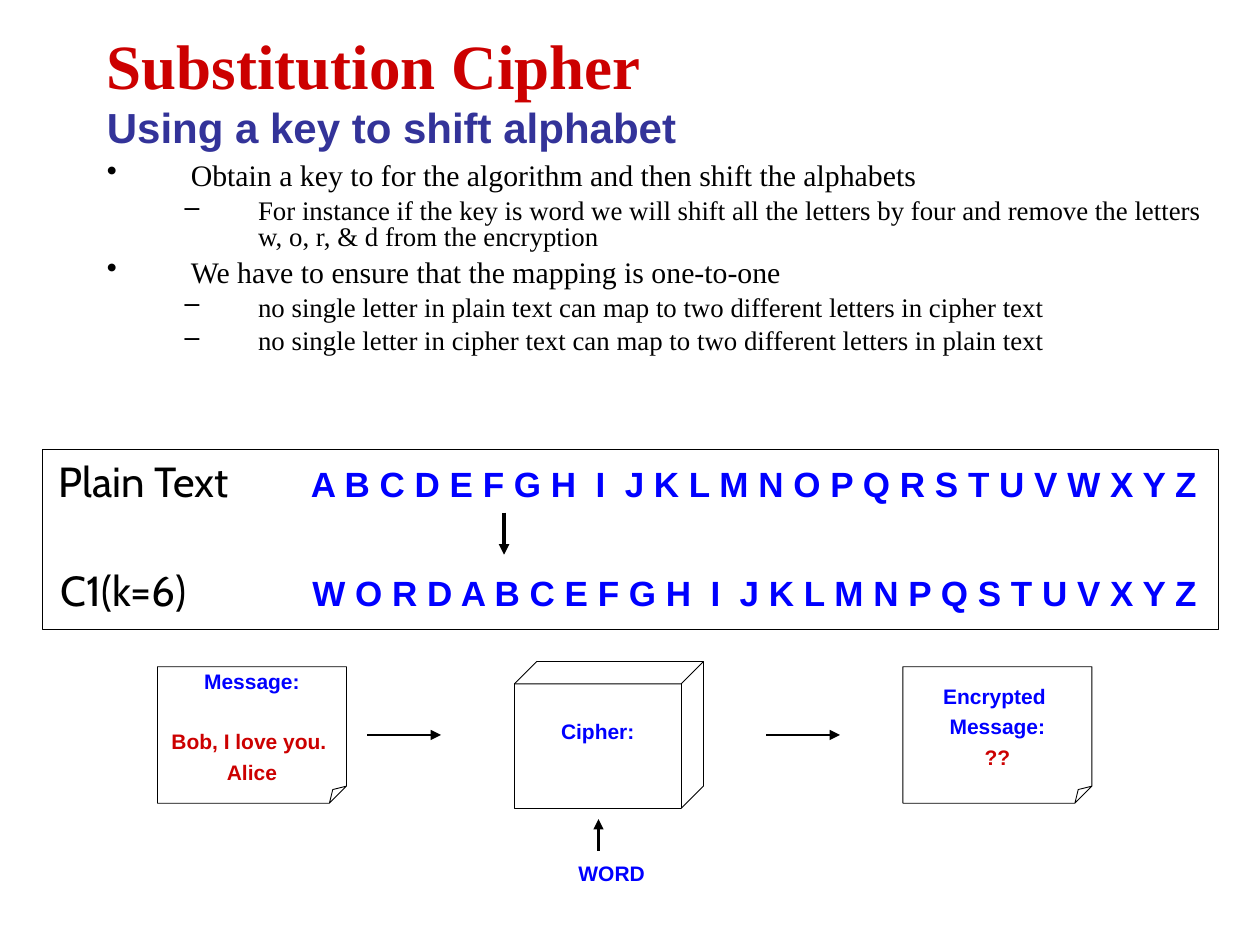
from typing import NamedTuple

from lxml import etree
from pptx import Presentation
from pptx.dml.color import RGBColor
from pptx.enum import shapes, text
from pptx.oxml import ns
from pptx.util import Pt

BLACK = RGBColor(0x00, 0x00, 0x00)
RED = RGBColor(0xCC, 0x00, 0x00)
NAVY = RGBColor(0x33, 0x33, 0x99)
BLUE = RGBColor(0x00, 0x00, 0xFF)
SERIF, SANS, LABEL = "Times New Roman", "Arial", "Cabin"


class Box(NamedTuple):
    left: float
    top: float
    width: float
    height: float


class Style(NamedTuple):
    font: str
    size: float
    color: RGBColor
    bold: bool = False


class Line(NamedTuple):
    words: str
    color: RGBColor = BLUE
    before: float = 3


class Stage(NamedTuple):
    kind: shapes.MSO_SHAPE
    box: Box
    adjust: int  # thousandths of a percent
    lines: list[Line]
    bottom_inset: float = 3.6


class Arrow(NamedTuple):
    x1: float
    y1: float
    x2: float
    y2: float
    width: float = 1.5


class Bullet(NamedTuple):
    level: int
    words: str


class BulletLevel(NamedTuple):
    mark: str
    margin: float
    hanging: float
    size: float
    before: float


class Alphabet(NamedTuple):
    label: str
    letters: str
    box: Box


BULLET_LEVELS = [BulletLevel("•", 48, 48, 17, 5), BulletLevel("–", 86.4, 42, 15.3, 4.5)]
BULLETS = [
    Bullet(0, "Obtain a key to for the algorithm and then shift the alphabets"),
    Bullet(1, "For instance if the key is word we will shift all the letters by four "
              "and remove the letters w, o, r, & d from the encryption"),
    Bullet(0, "We have to ensure that the mapping is one-to-one"),
    Bullet(1, "no single letter in plain text can map to two different letters in cipher text"),
    Bullet(1, "no single letter in cipher text can map to two different letters in plain text"),
]
ALPHABETS = [
    Alphabet("Plain Text", "A B C D E F G H  I  J K L M N O P Q R S T U V W X Y Z",
             Box(26.6, 257, 668, 36)),
    Alphabet("C1(k=6)", "W O R D A B C E F G H  I  J K L M N P Q S T U V X Y Z",
             Box(27.4, 319, 668, 36)),
]
STAGES = [
    Stage(shapes.MSO_SHAPE.FOLDED_CORNER, Box(90, 381, 108, 78), 12500,
          [Line("Message:"), Line("Bob, I love you. ", RED, 20), Line("Alice", RED)]),
    Stage(shapes.MSO_SHAPE.CUBE, Box(294, 378, 108, 84), 15200, [Line("Cipher:")], 20.4),
    Stage(shapes.MSO_SHAPE.FOLDED_CORNER, Box(516, 381, 108, 78), 12500,
          [Line("Encrypted "), Line("Message:"), Line("??", RED)]),
]
ARROWS = [
    Arrow(210, 420, 252, 420),
    Arrow(438, 420, 480, 420),
    Arrow(342, 486, 342, 468),
    Arrow(288, 293, 288, 317, 2),
]


def format_run(r, style: Style) -> None:
    r.font.name, r.font.size, r.font.bold = style.font, Pt(style.size), style.bold
    r.font.color.rgb = style.color


def add_text(s, box: Box, wrap: bool = True):
    tf = s.shapes.add_textbox(*map(Pt, box)).text_frame
    tf.word_wrap = wrap
    return tf


def add_outline(s, kind: shapes.MSO_SHAPE, box: Box):
    sp = s.shapes.add_shape(kind, *map(Pt, box))
    sp.shadow.inherit = False
    sp.fill.background()
    sp.line.color.rgb, sp.line.width = BLACK, Pt(0.5)
    return sp


def add_bullet(p, bullet: Bullet) -> None:
    look = BULLET_LEVELS[bullet.level]
    p.text, p.level = bullet.words, bullet.level
    p.line_spacing, p.space_before = 0.8, Pt(look.before)
    format_run(p.runs[0], Style(SERIF, look.size, BLACK))
    props = p._p.get_or_add_pPr()
    props.set("marL", str(Pt(look.margin)))
    props.set("indent", str(-Pt(look.hanging)))
    etree.SubElement(props, ns.qn("a:buChar")).set("char", look.mark)


def add_alphabet(s, row: Alphabet) -> None:
    p = add_text(s, row.box).paragraphs[0]
    p.space_before = Pt(5)
    for words, style in ((row.label, Style(LABEL, 24, BLACK)),
                         ("\t" + row.letters, Style(SANS, 20, BLUE, True))):
        r = p.add_run()
        r.text = words
        format_run(r, style)
    tabs = etree.SubElement(p._p.get_or_add_pPr(), ns.qn("a:tabLst"))
    tab = etree.SubElement(tabs, ns.qn("a:tab"))
    tab.set("pos", str(Pt(144)))
    tab.set("algn", "l")


def add_stage(s, stage: Stage) -> None:
    sp = add_outline(s, stage.kind, stage.box)
    # FOLDED_CORNER has no entry in shape.adjustments, so the guide is set directly
    guides = sp._element.spPr.find(ns.qn("a:prstGeom")).get_or_add_avLst()
    for old in list(guides):
        guides.remove(old)
    guide = etree.SubElement(guides, ns.qn("a:gd"))
    guide.set("name", "adj")
    guide.set("fmla", f"val {stage.adjust}")
    tf = sp.text_frame
    tf.word_wrap, tf.vertical_anchor = False, text.MSO_ANCHOR.MIDDLE
    tf.margin_bottom = Pt(stage.bottom_inset)
    tf.text = "\n".join(line.words for line in stage.lines)
    for p, line in zip(tf.paragraphs, stage.lines):
        p.alignment, p.space_before = text.PP_ALIGN.CENTER, Pt(line.before)
        format_run(p.runs[0], Style(SANS, 12, line.color, True))


def add_arrow(s, arrow: Arrow) -> None:
    ends = map(Pt, (arrow.x1, arrow.y1, arrow.x2, arrow.y2))
    c = s.shapes.add_connector(shapes.MSO_CONNECTOR.STRAIGHT, *ends)
    c.line.color.rgb, c.line.width = BLACK, Pt(arrow.width)
    props = c._element.spPr
    etree.SubElement(props.find(ns.qn("a:ln")), ns.qn("a:tailEnd")).set("type", "triangle")
    etree.SubElement(props, ns.qn("a:effectLst"))


def main() -> None:
    prs = Presentation()
    prs.slide_width, prs.slide_height = Pt(720), Pt(540)
    s = prs.slides.add_slide(prs.slide_layouts[6])

    # Title and subtitle
    tf = add_text(s, Box(54, 6, 612, 90))
    tf.vertical_anchor = text.MSO_ANCHOR.MIDDLE
    p = tf.paragraphs[0]
    p.text = "Substitution Cipher\vUsing a key to shift alphabet"
    format_run(p.runs[0], Style(SERIF, 36, RED, True))
    format_run(p.runs[1], Style(SANS, 24, NAVY, True))

    # Bullets
    tf = add_text(s, Box(54, 90, 648, 138))
    for i, bullet in enumerate(BULLETS):
        add_bullet(tf.add_paragraph() if i else tf.paragraphs[0], bullet)

    # Framed alphabets
    add_outline(s, shapes.MSO_SHAPE.RECTANGLE, Box(24, 257, 672, 103))
    for row in ALPHABETS:
        add_alphabet(s, row)

    # Message, cipher and encrypted message
    for stage in STAGES:
        add_stage(s, stage)
    for arrow in ARROWS:
        add_arrow(s, arrow)

    # Key
    tf = add_text(s, Box(323.5, 488, 53, 22), wrap=False)
    tf.text = "WORD"
    format_run(tf.paragraphs[0].runs[0], Style(SANS, 12, BLUE, True))

    prs.save("out.pptx")


if __name__ == "__main__":
    main()
